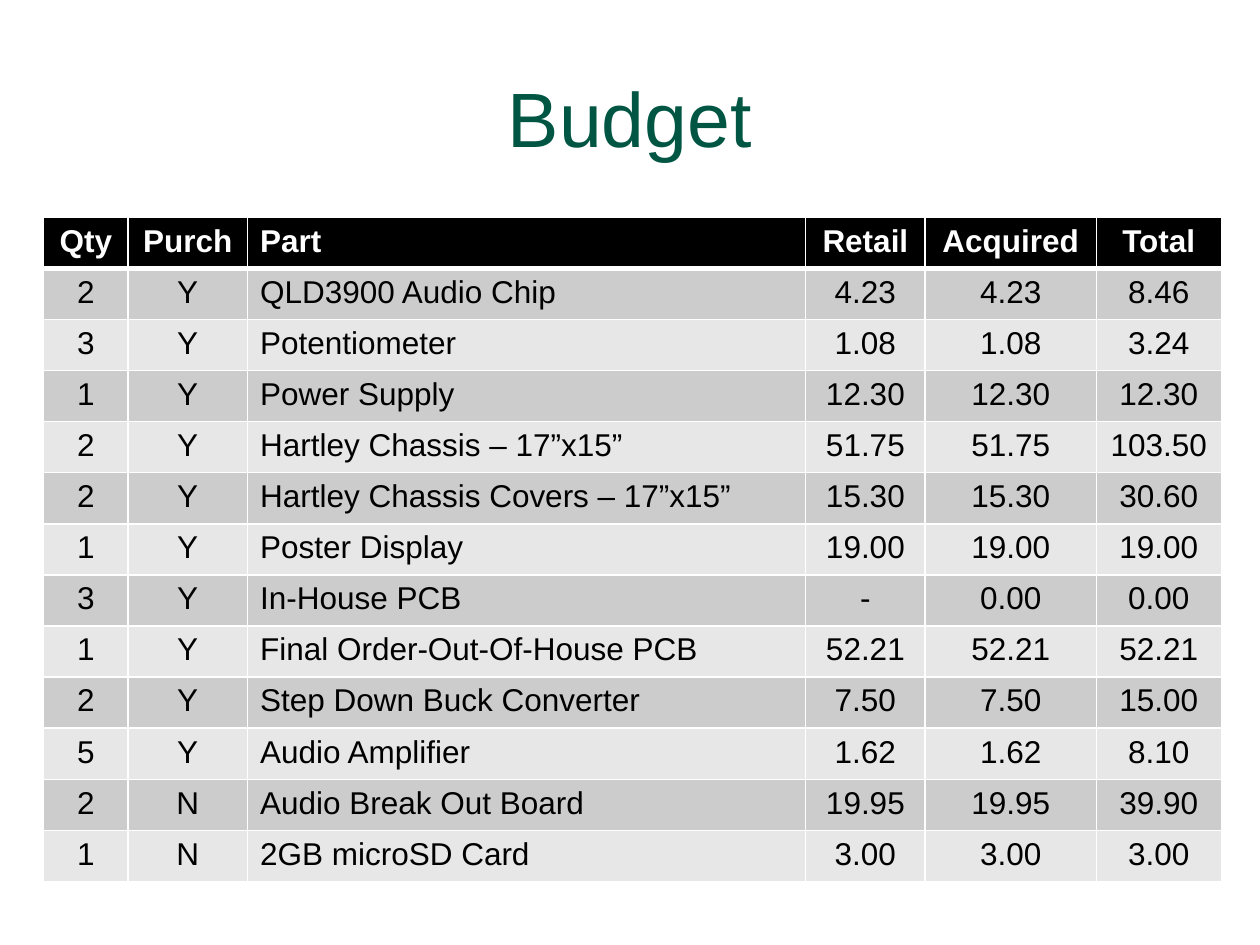
"""Build a budget slide: a title over a table of parts and prices."""
from lxml import etree
from pptx import Presentation
from pptx.dml.color import RGBColor
from pptx.enum.text import MSO_ANCHOR, PP_ALIGN
from pptx.oxml.ns import qn
from pptx.util import Cm, Pt

LEFT, MID = PP_ALIGN.LEFT, PP_ALIGN.CENTER
CENTER = MSO_ANCHOR.MIDDLE

COLORS = {
    "title": "005643",
    "head": "000000",
    "odd": "CCCCCC",
    "even": "E7E7E7",
    "light": "FFFFFF",
    "dark": "000000",
}
FONT = "Arial"
TITLE = "Budget"
COLS = [
    ("Qty", 1.7, MID),
    ("Purch", 2.41, MID),
    ("Part", 11.25, LEFT),
    ("Retail ", 2.41, MID),
    ("Acquired", 3.45, MID),
    ("Total", 2.52, MID),
]
PARTS = [
    ("2", "Y", "QLD3900 Audio Chip", "4.23", "4.23", "8.46"),
    ("3", "Y", "Potentiometer", "1.08", "1.08", "3.24"),
    ("1", "Y", "Power Supply", "12.30", "12.30", "12.30"),
    ("2", "Y", "Hartley Chassis – 17”x15”", "51.75", "51.75", "103.50"),
    ("2", "Y", "Hartley Chassis Covers – 17”x15”", "15.30", "15.30", "30.60"),
    ("1", "Y", "Poster Display", "19.00", "19.00", "19.00"),
    ("3", "Y", "In-House PCB", "-", "0.00", "0.00"),
    ("1", "Y", "Final Order-Out-Of-House PCB", "52.21", "52.21", "52.21"),
    ("2", "Y", "Step Down Buck Converter", "7.50", "7.50", "15.00"),
    ("5", "Y", "Audio Amplifier", "1.62", "1.62", "8.10"),
    ("2", "N", "Audio Break Out Board", "19.95", "19.95", "39.90"),
    ("1", "N", "2GB microSD Card", "3.00", "3.00", "3.00"),
]
ROW = 1.03


def write(frame, text, size=18, color="dark", bold=False, align=MID):
    para = frame.paragraphs[0]
    para.alignment = align
    run = para.add_run()
    run.text = text
    run.font.name = FONT
    run.font.size = Pt(size)
    run.font.bold = bold
    run.font.color.rgb = RGBColor.from_string(COLORS[color])


def edge(cell, **widths):
    props = cell._tc.get_or_add_tcPr()
    for side, width in widths.items():
        line = etree.SubElement(props, qn(f"a:ln{side}"), w=str(Pt(width)))
        fill = etree.SubElement(line, qn("a:solidFill"))
        etree.SubElement(fill, qn("a:srgbClr"), val=COLORS["light"])


def add_title(slide):
    box = slide.shapes.add_textbox(Cm(1.27), Cm(0.76), Cm(22.86), Cm(3.18))
    box.text_frame.word_wrap = True
    box.text_frame.vertical_anchor = CENTER
    write(box.text_frame, TITLE, size=44, color="title")


def add_budget(slide):
    rows = [[name for name, _, _ in COLS], *PARTS]
    total = sum(width for _, width, _ in COLS)
    table = slide.shapes.add_table(
        len(rows), len(COLS), Cm(0.88), Cm(4.38), Cm(total), Cm(ROW * len(rows))
    ).table
    for col, (_, width, _) in zip(table.columns, COLS):
        col.width = Cm(width)
    for r, row in enumerate(rows):
        table.rows[r].height = Cm(ROW)
        head = r == 0
        shade = "head" if head else "odd" if r % 2 else "even"
        for c, text in enumerate(row):
            cell = table.cell(r, c)
            edge(cell, L=1, R=1, T=3 if r == 1 else 1, B=3 if head else 1)
            cell.fill.solid()
            cell.fill.fore_color.rgb = RGBColor.from_string(COLORS[shade])
            write(cell.text_frame, text, bold=head, align=COLS[c][2],
                  color="light" if head else "dark")


def main():
    deck = Presentation()
    deck.slide_width, deck.slide_height = Cm(25.4), Cm(19.05)
    slide = deck.slides.add_slide(deck.slide_layouts[6])
    add_title(slide)
    add_budget(slide)
    deck.save("out.pptx")


if __name__ == "__main__":
    main()
